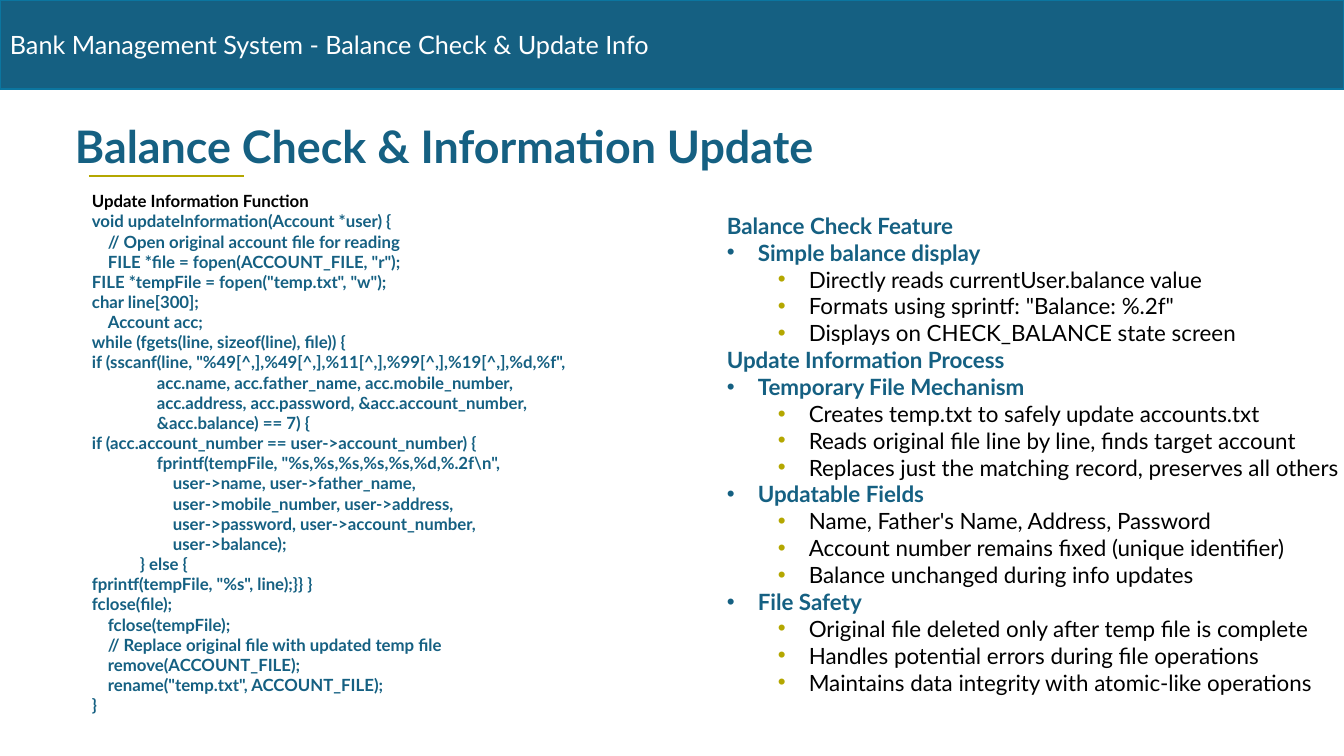
from lxml import etree
from pptx import Presentation
from pptx import util as u
from pptx.dml.color import RGBColor
from pptx.enum import shapes, text
from pptx.oxml import ns

TEAL = RGBColor(0x15, 0x60, 0x82)
EDGE = RGBColor(0x0B, 0x76, 0xA0)
OLIVE = RGBColor(0xB4, 0xA7, 0x00)
BLACK = RGBColor(0, 0, 0)
WHITE = RGBColor(0xFF, 0xFF, 0xFF)
PX = 914400 / 100.8

CODE = [
    (0, 'void updateInformation(Account *user) {'),
    (1, '// Open original account file for reading'),
    (1, 'FILE *file = fopen(ACCOUNT_FILE, "r");'),
    (0, 'FILE *tempFile = fopen("temp.txt", "w");'),
    (0, 'char line[300];'),
    (1, 'Account acc;'),
    (0, 'while (fgets(line, sizeof(line), file)) {'),
    (0, 'if (sscanf(line, "%49[^,],%49[^,],%11[^,],%99[^,],%19[^,],%d,%f",'),
    (4, 'acc.name, acc.father_name, acc.mobile_number,'),
    (4, 'acc.address, acc.password, &acc.account_number,'),
    (4, '&acc.balance) == 7) {'),
    (0, 'if (acc.account_number == user->account_number) {'),
    (4, r'fprintf(tempFile, "%s,%s,%s,%s,%s,%d,%.2f\n",'),
    (5, 'user->name, user->father_name,'),
    (5, 'user->mobile_number, user->address,'),
    (5, 'user->password, user->account_number,'),
    (5, 'user->balance);'),
    (3, '} else {'),
    (0, 'fprintf(tempFile, "%s", line);}} }'),
    (0, 'fclose(file);'),
    (1, 'fclose(tempFile);'),
    (1, '// Replace original file with updated temp file'),
    (1, 'remove(ACCOUNT_FILE);'),
    (1, 'rename("temp.txt", ACCOUNT_FILE);'),
    (0, '}'),
]

FEATURES = [
    ("Balance Check Feature", [
        ("Simple balance display", [
            "Directly reads currentUser.balance value",
            'Formats using sprintf: "Balance: %.2f"',
            "Displays on CHECK_BALANCE state screen"])]),
    ("Update Information Process", [
        ("Temporary File Mechanism", [
            "Creates temp.txt to safely update accounts.txt",
            "Reads original file line by line, finds target account",
            "Replaces just the matching record, preserves all others"]),
        ("Updatable Fields", [
            "Name, Father's Name, Address, Password",
            "Account number remains fixed (unique identifier)",
            "Balance unchanged during info updates"]),
        ("File Safety", [
            "Original file deleted only after temp file is complete",
            "Handles potential errors during file operations",
            "Maintains data integrity with atomic-like operations"])]),
]


def px(length):
    """Turn whole pixels into EMU."""
    return u.Emu(round(length * PX))


class SlideBuilder:
    """Hold the style and the current slide."""

    font = "Lato"

    def __init__(self, deck):
        """Add a title-only slide to the deck."""
        self.slide = deck.slides.add_slide(deck.slide_layouts[5])

    def style(self, paragraph, size, color, bold=False):
        """Set the font of a whole paragraph."""
        font = paragraph.font
        font.name, font.size, font.bold = self.font, u.Pt(size), bold
        font.color.rgb = color

    def title(self, box, words):
        """Place and format the title placeholder."""
        heading = self.slide.shapes.title
        heading.left, heading.top, heading.width, heading.height = map(px, box)
        frame = heading.text_frame
        frame.text = words
        frame.word_wrap = True
        frame.auto_size = text.MSO_AUTO_SIZE.NONE
        frame.vertical_anchor = text.MSO_ANCHOR.BOTTOM
        paragraph = frame.paragraphs[0]
        paragraph.alignment = text.PP_ALIGN.CENTER
        paragraph.line_spacing = 0.9
        self.style(paragraph, 32, TEAL, True)

    def banner(self, box, words):
        """Draw the filled header bar with its label."""
        bar = self.slide.shapes.add_shape(shapes.MSO_SHAPE.RECTANGLE, *map(px, box))
        bar.shadow.inherit = False
        bar.fill.solid()
        bar.fill.fore_color.rgb = TEAL
        bar.line.color.rgb = EDGE
        bar.line.width = u.Pt(1.5)
        frame = bar.text_frame
        frame.text = words
        frame.vertical_anchor = text.MSO_ANCHOR.MIDDLE
        frame.paragraphs[0].alignment = text.PP_ALIGN.LEFT
        self.style(frame.paragraphs[0], 18, WHITE)

    def rule(self, start, end):
        """Draw a straight accent line."""
        accent = self.slide.shapes.add_connector(
            shapes.MSO_CONNECTOR.STRAIGHT, *map(px, start + end))
        accent.line.color.rgb = OLIVE
        accent.line.width = u.Pt(2)
        etree.SubElement(accent._element.spPr, ns.qn("a:effectLst"))

    def text_box(self, box):
        """Add a wrapping text box and return its frame."""
        frame = self.slide.shapes.add_textbox(*map(px, box)).text_frame
        frame.word_wrap = True
        frame.auto_size = text.MSO_AUTO_SIZE.SHAPE_TO_FIT_TEXT
        return frame

    def line(self, frame, words, size, color, bold=True, margin=0, hang=0,
             level=0, bullet_color=None):
        """Write one paragraph, indented and bulleted when asked."""
        first = frame.paragraphs[0]
        paragraph = frame.add_paragraph() if first.runs else first
        paragraph.add_run().text = words
        paragraph.level = level
        properties = paragraph._p.get_or_add_pPr()
        properties.set("marL", str(px(margin)))
        properties.set("indent", str(px(-hang)))
        if bullet_color is not None:
            tint = etree.SubElement(properties, ns.qn("a:buClr"))
            etree.SubElement(tint, ns.qn("a:srgbClr"), val=str(bullet_color))
        if hang:
            etree.SubElement(properties, ns.qn("a:buFont"), typeface="Arial")
            etree.SubElement(properties, ns.qn("a:buChar"), char="•")
        self.style(paragraph, size, color, bold)

    def features(self, box, sections):
        """Write the headed two-level bullet list."""
        frame = self.text_box(box)
        for section, topics in sections:
            self.line(frame, section, 16, TEAL)
            for topic, details in topics:
                self.line(frame, topic, 16, TEAL, margin=31, hang=31)
                for detail in details:
                    self.line(frame, detail, 16, BLACK, False, margin=82, hang=31,
                              level=1, bullet_color=OLIVE)

    def code(self, box, caption, listing):
        """Write a caption and the indented code under it."""
        frame = self.text_box(box)
        self.line(frame, caption, 12, BLACK)
        for depth, statement in listing:
            self.line(frame, statement, 12, TEAL, margin=depth * 65 // 4)


def main():
    """Build and save the slide."""
    deck = Presentation()
    deck.slide_width, deck.slide_height = px(1344), px(756)
    page = SlideBuilder(deck)
    page.title((35, 118, 819, 60), "Balance Check & Information Update")
    page.banner((0, 0, 1344, 89), "Bank Management System - Balance Check & Update Info")
    page.rule((89, 176), (244, 176))
    page.features((717, 207, 674, 499), FEATURES)
    page.code((82, 186, 572, 539), "Update Information Function", CODE)
    deck.save("out.pptx")


if __name__ == "__main__":
    main()
